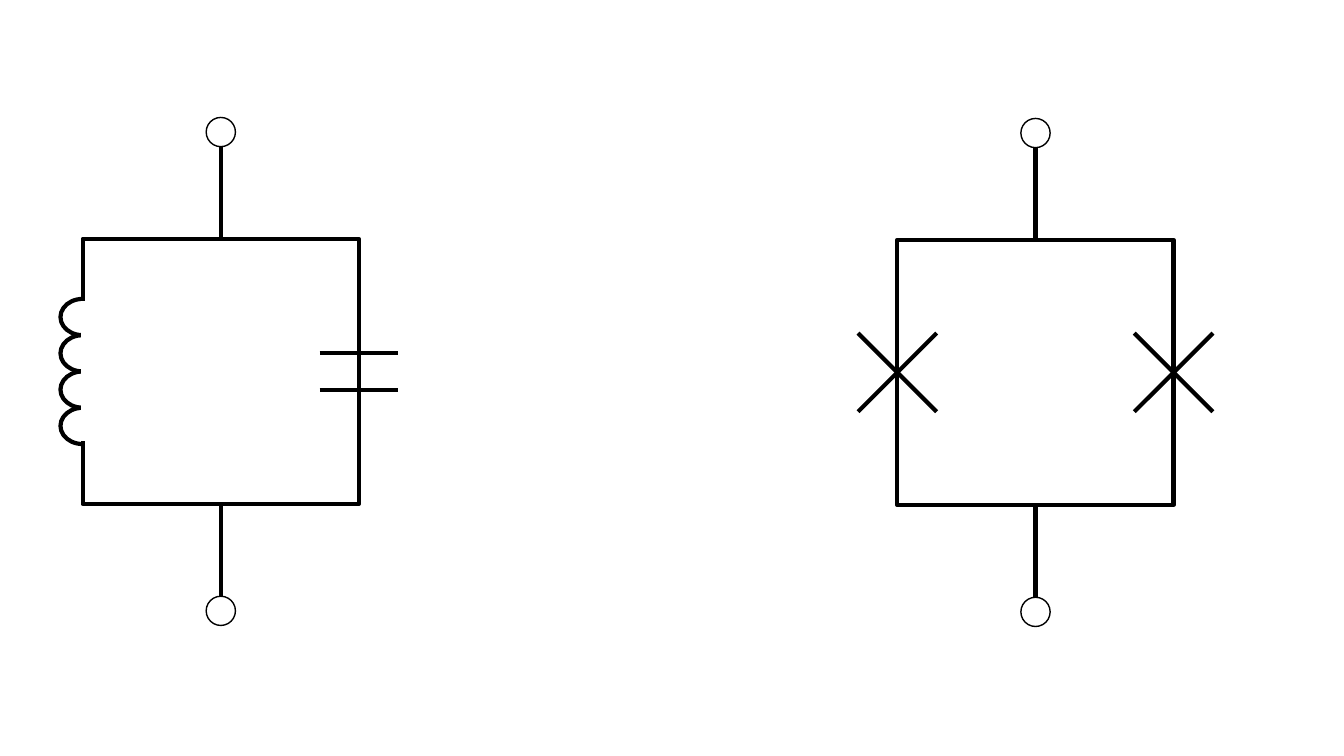
from dataclasses import dataclass

from lxml.etree import SubElement
from pptx import Presentation
from pptx.dml.color import RGBColor
from pptx.enum.shapes import MSO_CONNECTOR, MSO_SHAPE
from pptx.oxml.ns import qn
from pptx.util import Inches, Pt


@dataclass(frozen=True)
class Theme:
    ink: RGBColor = RGBColor(0, 0, 0)
    paper: RGBColor = RGBColor(255, 255, 255)
    wire: Pt = Pt(3)
    outline: Pt = Pt(1)


@dataclass(frozen=True)
class Box:
    left: float
    top: float
    width: float
    height: float

    @property
    def right(self):
        return self.left + self.width

    @property
    def bottom(self):
        return self.top + self.height

    @property
    def center_x(self):
        return self.left + self.width / 2

    @property
    def center_y(self):
        return self.top + self.height / 2


THEME = Theme()


def add_wire(group, start, end, color=THEME.ink):
    points = [Inches(value) for value in (*start, *end)]
    wire = group.shapes.add_connector(MSO_CONNECTOR.STRAIGHT, *points)
    wire.line.color.rgb = color
    wire.line.width = THEME.wire
    SubElement(wire._element.spPr, qn("a:effectLst"))


def add_centered(group, kind, x, y, width, height, line_width, fill=None):
    shape = group.shapes.add_shape(
        kind, Inches(x - width / 2), Inches(y - height / 2), Inches(width), Inches(height))
    shape.shadow.inherit = False
    if fill is None:
        shape.fill.background()
    else:
        shape.fill.solid()
        shape.fill.fore_color.rgb = fill
    shape.line.color.rgb = THEME.ink
    shape.line.width = line_width
    return shape


def add_loop(group, box):
    add_centered(group, MSO_SHAPE.RECTANGLE, box.center_x, box.center_y,
                 box.width, box.height, THEME.wire)


def add_terminals(group, box, lead=0.93, distance=1.06, diameter=0.29):
    for edge, direction in ((box.top, -1), (box.bottom, 1)):
        add_wire(group, (box.center_x, edge), (box.center_x, edge + direction * lead))
        add_centered(group, MSO_SHAPE.OVAL, box.center_x, edge + direction * distance,
                     diameter, diameter, THEME.outline, THEME.paper)


def add_capacitor(group, x, y, half_width=0.39, gap=0.37):
    for plate_y in (y - gap / 2, y + gap / 2):
        add_wire(group, (x - half_width, plate_y), (x + half_width, plate_y))


def add_inductor(group, x, y, turns=4, pitch=0.36, depth=0.44, gap=1.39):
    for turn in range(turns):
        turn_y = y + (turn - (turns - 1) / 2) * pitch
        arc = add_centered(group, MSO_SHAPE.ARC, x, turn_y, pitch, depth, THEME.wire)
        arc.adjustments[0] = 107.37
        arc.adjustments[1] = 0
        arc.rotation = 270
    # Break in the loop behind the coil
    add_wire(group, (x, y - gap / 2), (x, y + gap / 2), THEME.paper)


def add_junction(group, x, y, half=0.39):
    for slope in (1, -1):
        add_wire(group, (x - half, y - slope * half), (x + half, y + slope * half))


def build_resonator(slide, box):
    group = slide.shapes.add_group_shape()
    add_loop(group, box)
    add_capacitor(group, box.right, box.center_y)
    add_inductor(group, box.left, box.center_y)
    add_terminals(group, box)


def build_junction_loop(slide, box):
    group = slide.shapes.add_group_shape()
    add_loop(group, box)
    add_terminals(group, box)
    for x in (box.left, box.right):
        add_junction(group, x, box.center_y)


def main():
    presentation = Presentation()
    presentation.slide_width = Inches(13.33)
    presentation.slide_height = Inches(7.5)
    slide = presentation.slides.add_slide(presentation.slide_layouts[6])

    # Left: inductor and capacitor; right: two crossed junctions
    build_resonator(slide, Box(0.82, 2.37, 2.74, 2.63))
    build_junction_loop(slide, Box(8.9, 2.38, 2.74, 2.63))

    presentation.save("out.pptx")


if __name__ == "__main__":
    main()
